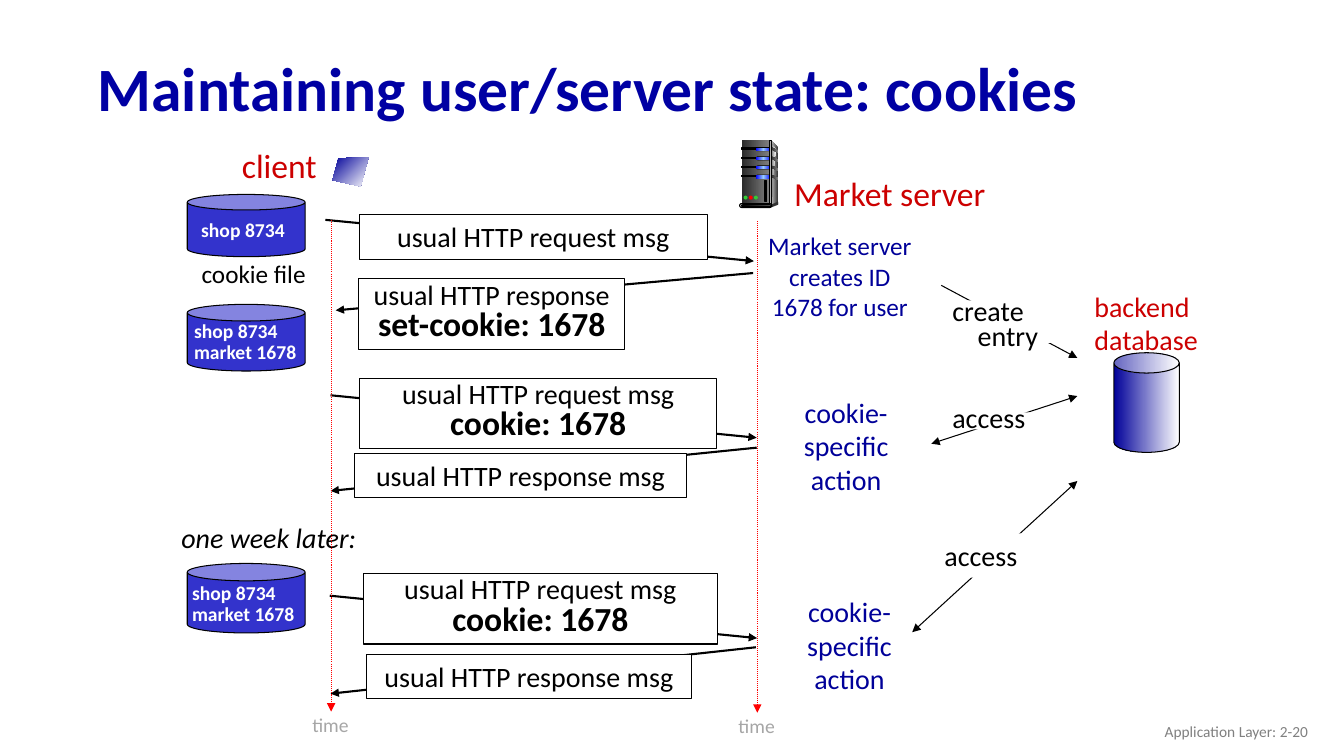
import pptx
import pptx.dml.color
import pptx.enum.shapes
import pptx.enum.text
import pptx.oxml.ns
import pptx.util
import lxml.etree

Cm = pptx.util.Cm
Pt = pptx.util.Pt
Kind = pptx.enum.shapes.MSO_SHAPE
Align = pptx.enum.text.PP_ALIGN
Anchor = pptx.enum.text.MSO_ANCHOR
qn = pptx.oxml.ns.qn
NAVY, RED, BLACK, WHITE = "000099", "CC0000", "000000", "FFFFFF"
METAL = ["292929", "808080"]
GLOW = ["0000FF", "99CCFF", "0000FF"]


def color(code):
    return pptx.dml.color.RGBColor.from_string(code)


def inside(box, part):
    return (box[0] + part[0], box[1] + part[1], *part[2:])


def paint(shape, fill, line=None, angle=0):
    shape.shadow.inherit = False
    if isinstance(fill, list):
        shape.fill.gradient()
        shape.fill.gradient_angle = angle
        stops = shape._element.spPr.find(".//" + qn("a:gsLst"))
        for stop in list(stops):
            stops.remove(stop)
        for index, code in enumerate(fill):
            position = str(100000 * index // (len(fill) - 1))
            stop = lxml.etree.SubElement(stops, qn("a:gs"), pos=position)
            lxml.etree.SubElement(stop, qn("a:srgbClr"), val=code)
    else:
        shape.fill.solid()
        shape.fill.fore_color.rgb = color(fill)
    if line:
        shape.line.color.rgb = color(line)
        shape.line.width = Pt(0.75)
    else:
        shape.line.fill.background()
    return shape


def add_block(page, kind, box, fill, line=None, adjustment=None):
    shape = page.shapes.add_shape(kind, *map(Cm, box))
    if adjustment is not None:
        shape.adjustments[0] = adjustment
    return paint(shape, fill, line)


def add_outline(page, origin, points, fill, angle=0):
    corners = [tuple(map(Cm, inside(origin, point))) for point in points]
    builder = page.shapes.build_freeform(*corners[0])
    builder.add_line_segments(corners[1:], close=True)
    return paint(builder.convert_to_shape(), fill, angle=angle)


def write(shape, lines, size, code, align=Align.LEFT, spacing=None, wrap=True,
          bold=False, italic=False, anchor=Anchor.TOP):
    frame = shape.text_frame
    frame.word_wrap = wrap
    frame.vertical_anchor = anchor
    for index, text in enumerate(lines):
        para = frame.paragraphs[0] if index == 0 else frame.add_paragraph()
        para.alignment = align
        para.line_spacing = spacing
        span = para.add_run()
        span.text = text
        span.font.name = "Calibri"
        span.font.size = Pt(size)
        span.font.bold = bold
        span.font.italic = italic
        span.font.color.rgb = color(code)
    return shape


def add_label(page, box, lines, size, code, **style):
    return write(page.shapes.add_textbox(*map(Cm, box)), lines, size, code, **style)


def add_arrow(page, start, end, code=BLACK, width=0.75, ends=("tailEnd",), dash=None):
    arrow = page.shapes.add_connector(
        pptx.enum.shapes.MSO_CONNECTOR.STRAIGHT, *map(Cm, (*start, *end)))
    arrow.line.color.rgb = color(code)
    arrow.line.width = Pt(width)
    line = arrow.line._get_or_add_ln()
    if dash:
        lxml.etree.SubElement(line, qn("a:prstDash"), val=dash)
    for name in ends:
        lxml.etree.SubElement(line, qn("a:" + name), type="triangle")
    lxml.etree.SubElement(arrow._element.spPr, qn("a:effectLst"))
    return arrow


def add_title(page, box, text):
    title = page.shapes.title
    title.left, title.top, title.width, title.height = map(Cm, box)
    write(title, [text], 44, "0000A3", spacing=0.9, bold=True, anchor=Anchor.MIDDLE)


def add_message(page, box, label, lines, is_request):
    left, top, width, height = box
    start, end = (left, left + width) if is_request else (left + width, left)
    add_arrow(page, (start, top), (end, top + height), width=1.5)
    frame = add_block(page, Kind.RECTANGLE, inside(box, label), WHITE, BLACK)
    write(frame, lines, 20, BLACK, Align.CENTER, 0.8 if len(lines) > 1 else None)
    for para in frame.text_frame.paragraphs[1:]:
        para.runs[0].font.size = Pt(24)
        para.runs[0].font.bold = True


def add_cookie_file(page, box, label, lines):
    add_block(page, Kind.CAN, box, "3333CC", BLACK, 0.25)
    add_label(page, inside(box, label), lines, 14, WHITE, bold=True,
              spacing=0.9 if len(lines) > 1 else None)


def add_entry_creation(page, box):
    left, top, width, height = box
    add_arrow(page, (left, top), (left + width, top + height))
    add_block(page, Kind.RECTANGLE, inside(box, (0.49, 0.38, 3.12, 1.07)), WHITE)
    label = add_label(page, inside(box, (0.03, 0.28, 3.81, 1.57)),
                      ["create", "entry"], 20, BLACK, spacing=0.75)
    label.text_frame.paragraphs[1]._p.get_or_add_pPr().set("marL", str(Cm(0.64)))


def add_access(page, box, cover, label):
    left, top, width, height = box
    add_arrow(page, (left, top + height), (left + width, top),
              ends=("headEnd", "tailEnd"))
    add_block(page, Kind.RECTANGLE, inside(box, cover), WHITE)
    add_label(page, inside(box, label), ["access"], 20, BLACK, wrap=False)


def add_database(page, box):
    add_label(page, inside(box, (0, 0, 3.18, 1.96)), ["backend", "database"],
              20, RED, wrap=False)
    can = add_block(page, Kind.CAN, inside(box, (0.74, 1.73, 1.65, 2.51)),
                    [NAVY, WHITE], BLACK, 0.31)
    return can


def add_server_tower(page, box):
    tower = page.shapes.add_group_shape()

    def block(kind, part, fill, line=None, adjustment=None):
        add_block(tower, kind, inside(box, part), fill, line, adjustment)

    add_outline(tower, box, [(0.79, 0), (0.97, 0.2), (0.97, 1.55), (0.76, 1.63)],
                ["DDDDDD", "333333"])
    block(Kind.RECTANGLE, (0.05, 0, 0.71, 1.63), METAL)
    add_outline(tower, box, [(0.81, 0.1), (0.91, 0.23), (0.84, 0.9), (0.81, 1.57)],
                ["808080", "F8F8F8"])
    for row in range(4):
        y = 0.2 + 0.23 * row
        block(Kind.RECTANGLE, (0.05, y, 0.41, 0.03), BLACK, BLACK)
        block(Kind.ROUNDED_RECTANGLE, (0.41, y - 0.02, 0.41, 0.1), BLACK, None, 0.5)
        block(Kind.ROUNDED_RECTANGLE, (0.41, y, 0.38, 0.08), GLOW, None, 0.5)
        add_outline(tower, box, [(0.79, y - 0.02), (0.97, y + 0.06),
                                 (0.97, y + 0.12), (0.79, y + 0.03)], METAL)
    block(Kind.RECTANGLE, (0.76, 0, 0.05, 1.63), ["333333", "DDDDDD", "333333"], BLACK)
    block(Kind.OVAL, (0.94, 1.55, 0.03, 0.08), "333333")
    add_outline(tower, box, [(0.79, 1.63), (0.79, 1.7), (0.97, 1.63), (0.97, 1.55)],
                "333333")
    block(Kind.ROUNDED_RECTANGLE, (0, 1.6, 0.81, 0.1), "DDDDDD", BLACK, 0.5)
    block(Kind.ROUNDED_RECTANGLE, (0.05, 1.63, 0.74, 0.05), [BLACK, "808080"], BLACK, 0.5)
    for index, code in enumerate(["33CC33", "FF0000", "33CC33"]):
        block(Kind.OVAL, (0.1 + 0.13 * index, 1.4, 0.1, 0.1), code)
    block(Kind.RECTANGLE, (0.64, 1.02, 0.05, 0.53), "292929", BLACK)


def add_timeline(page, box):
    left, top, width, height = box
    label = add_label(page, (left, top + height, width, 0.76), ["time"], 14, "A6A6A6",
                      spacing=0.85, wrap=False)
    middle = left + width / 2
    arrow = add_arrow(page, (middle, top), (middle, top + height), "FF0000", dash="sysDot")
    arrow.end_connect(label, 0)


def main():
    deck = pptx.Presentation()
    deck.slide_width, deck.slide_height = Cm(33.87), Cm(19.05)
    page = deck.slides.add_slide(deck.slide_layouts[5])
    add_title(page, (2.21, 1.07, 29.21, 2.49), "Maintaining user/server state: cookies")
    add_label(page, (5.82, 3.53, 2.44, 1.27), ["client"], 24, RED,
              align=Align.CENTER, wrap=False)
    add_label(page, (19.58, 4.22, 5.69, 1.27), ["Market server"], 24, RED,
              align=Align.CENTER, wrap=False)
    add_label(page, (4.83, 6.38, 4.95, 1.02), ["cookie file"], 18, BLACK)
    add_label(page, (4.32, 12.98, 5.03, 1.12), ["one week later:"], 20, BLACK,
              wrap=False, italic=True)

    request, response = "usual HTTP request msg", "usual HTTP response msg"
    for box, label, lines, is_request in [
        ((8.2, 5.54, 10.8, 1.04), (0.86, -0.13, 8.76, 1.12), [request], True),
        ((8.46, 6.88, 10.52, 0.94), (0.58, 0.15, 6.71, 1.78),
         ["usual HTTP response", "set-cookie: 1678"], False),
        ((8.33, 11.28, 10.74, 1.09), (0.61, 0.15, 8.36, 1.12), [response], False),
        ((8.33, 9.96, 10.74, 1.07), (0.74, -0.43, 8.99, 1.78), [request, "cookie: 1678"], True),
        ((8.33, 16.31, 10.72, 1.17), (0.91, 0.18, 8.18, 1.12), [response], False),
        ((8.31, 15.01, 10.77, 1.07), (0.84, -0.56, 8.94, 1.78), [request, "cookie: 1678"], True),
    ]:
        add_message(page, box, label, lines, is_request)

    cookies = ["shop 8734", "market 1678"]
    add_cookie_file(page, (4.72, 4.9, 2.97, 1.57), (0.1, 0.46, 2.79, 0.86), cookies[:1])
    add_cookie_file(page, (4.72, 7.67, 2.97, 1.68), (-0.08, 0.3, 4.04, 1.35), cookies)
    add_cookie_file(page, (4.72, 14.2, 2.97, 1.75), (-0.13, 0.38, 3.86, 1.32), cookies)

    action = ["cookie-", "specific", "action"]
    for box, lines, size in [
        ((18.97, 5.69, 4.39, 2.57), ["Market server", "creates ID", "1678 for user"], 18),
        ((19.71, 9.83, 3.23, 2.82), action, 20),
        ((19.81, 14.86, 3.2, 2.82), action, 20),
    ]:
        add_label(page, box, lines, size, NAVY, align=Align.CENTER, wrap=False)

    add_entry_creation(page, (23.72, 7.19, 3.43, 1.83))
    add_access(page, (23.47, 9.98, 3.68, 1.2), (0.84, 0.41, 2.06, 0.43), (0.28, 0, 2.87, 1.12))
    late_label = (0.56, 1.32, 2.84, 1.12)
    add_access(page, (22.99, 12.12, 4.16, 3.81), late_label, late_label)
    add_database(page, (27.33, 7.16, 3.18, 4.24))
    add_server_tower(page, (18.64, 3.53, 0.97, 1.7))
    add_outline(page, (8.38, 3.96), [(0.91, 0), (0.15, 0.03), (0, 0.58), (0.71, 0.74)],
                [NAVY, WHITE], 315)
    add_timeline(page, (7.62, 5.54, 1.45, 12.39))
    add_timeline(page, (18.36, 5.57, 1.45, 12.39))
    add_label(page, (25.6, 17.91, 7.62, 1.02), ["Application Layer: 2-20"], 11, "808080",
              align=Align.RIGHT, anchor=Anchor.MIDDLE)
    deck.save("out.pptx")


if __name__ == "__main__":
    main()
